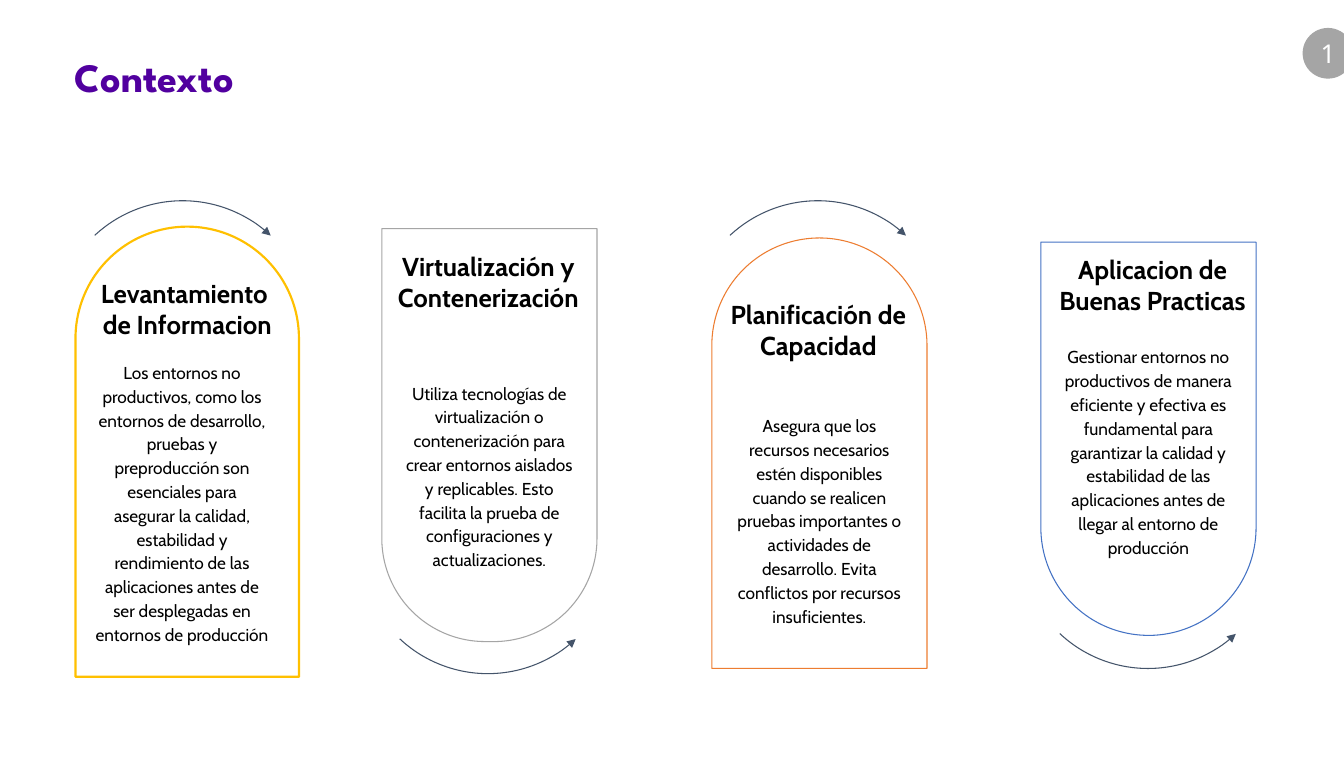
from lxml.etree import SubElement
from pptx import Presentation
from pptx.dml.color import RGBColor
from pptx.enum.shapes import MSO_SHAPE
from pptx.enum.text import MSO_ANCHOR, MSO_AUTO_SIZE, PP_ALIGN
from pptx.oxml.ns import qn
from pptx.util import Inches, Pt

# Grid of square cells, ten to the inch
CELL = Inches(0.1)
COLS, ROWS = 129.9, 74.8
WIDE = 20.8   # width of a panel and its texts
ARC = 24.9    # side of an arc's square

HUES = {
    "title": "51009F", "text": "000000", "white": "FFFFFF", "arrow": "44546A",
    "gold": "FFC000", "gray": "A5A5A5", "orange": "ED7D31", "blue": "4472C4",
}


def grid(*cells):
    return [round(n * CELL) for n in cells]


def write(shape, text, font="Cabin", size=12, hue="text", bold=False,
          align=PP_ALIGN.CENTER, space=1.0, pad=None, wrap=True):
    frame = shape.text_frame
    frame.auto_size = MSO_AUTO_SIZE.NONE
    frame.word_wrap = wrap
    frame.vertical_anchor = MSO_ANCHOR.MIDDLE
    if pad is not None:
        frame.margin_left = frame.margin_right = round(pad * CELL)
        frame.margin_top = frame.margin_bottom = 0
    frame.text = text
    for para in frame.paragraphs:
        para.alignment = align
        para.line_spacing = space
        face = para.runs[0].font
        face.name, face.size, face.bold = font, Pt(size), bold
        face.color.rgb = RGBColor.from_string(HUES[hue])


deck = Presentation()
deck.slide_width, deck.slide_height = grid(COLS, ROWS)
slide = deck.slides.add_slide(deck.slide_layouts[5])
shapes = slide.shapes

# Title
title = shapes.title
title.left, title.top, title.width, title.height = grid(6.2, 3.4, 110.4, 8.6)
write(title, "Contexto", font="League Spartan", size=28, hue="title",
      bold=True, align=PP_ALIGN.LEFT, space=0.9)

# Page number
badge = shapes.add_shape(MSO_SHAPE.OVAL, *grid(125.9, 2.7, 4.9, 4.9))
badge.shadow.inherit = False
badge.fill.solid()
badge.fill.fore_color.rgb = RGBColor.from_string(HUES["gray"])
badge.line.fill.background()
write(badge, "1", font="Noto Sans", size=18, hue="white", wrap=False)

# Panels: hue, line, flipped, bend, box, arc corner, head corner, head,
# body (left, top, height), body text
panels = [
    ("gold", 1.5, False, 0.5, (7.3, 21.9, 21.6, 43.5), (5.2, 19.4),
     (7.7, 28), "Levantamiento \nde Informacion", (7.2, 31.9, 33.2),
     "Los entornos no productivos, como los entornos de desarrollo, pruebas y "
     "preproducción son esenciales para asegurar la calidad, estabilidad y "
     "rendimiento de las aplicaciones antes de ser desplegadas en entornos de "
     "producción"),
    ("gray", 0.75, True, 0.48, (36.9, 22.1, WIDE, 39.9), (34.7, 40.2),
     (36.8, 25.4), "Virtualización y Contenerización", (36.9, 36.2, 19.4),
     "Utiliza tecnologías de virtualización o contenerización para crear "
     "entornos aislados y replicables. Esto facilita la prueba de "
     "configuraciones y actualizaciones."),
    ("orange", 0.75, False, 0.5, (68.8, 23, WIDE, 41.6), (66.6, 19.4),
     (68.7, 30.1), "Planificación de Capacidad", (68.8, 46.1, 8.2),
     "Asegura que los recursos necesarios estén disponibles cuando se "
     "realicen pruebas importantes o actividades de desarrollo. Evita "
     "conflictos por recursos insuficientes."),
    ("blue", 0.75, True, 0.5, (100.6, 23.4, WIDE, 38), (98.5, 39.7),
     (101, 25.7), "Aplicacion de Buenas Practicas", (100.6, 31.5, 24.1),
     "Gestionar entornos no productivos de manera eficiente y efectiva es "
     "fundamental para garantizar la calidad y estabilidad de las "
     "aplicaciones antes de llegar al entorno de producción"),
]

for hue, line, flip, bend, box, arc, spot, head, (left, top, tall), body in panels:
    # Outline and curved arrow
    frame = shapes.add_shape(MSO_SHAPE.ROUND_2_SAME_RECTANGLE, *grid(*box))
    curve = shapes.add_shape(MSO_SHAPE.ARC, *grid(*arc, ARC, ARC))
    for shape, tint, width, bends in (
            (frame, hue, line, (bend, 0)),
            (curve, "arrow", 0.75, (136.2, 187.9))):
        shape.shadow.inherit = False
        shape.fill.background()
        shape.line.color.rgb = RGBColor.from_string(HUES[tint])
        shape.line.width = Pt(width)
        shape.rotation = 180 if flip else 0
        for i, value in enumerate(bends):
            shape.adjustments[i] = value
    tip = "a:headEnd" if flip else "a:tailEnd"
    SubElement(curve.element.spPr.find(qn("a:ln")), qn(tip), type="triangle")

    # Heading and body text
    label = shapes.add_textbox(*grid(*spot, WIDE, 3.6))
    write(label, head, size=18, bold=True, pad=0)
    note = shapes.add_textbox(*grid(left, top, WIDE, tall))
    write(note, body, space=1.15, pad=2)

deck.save("out.pptx")
